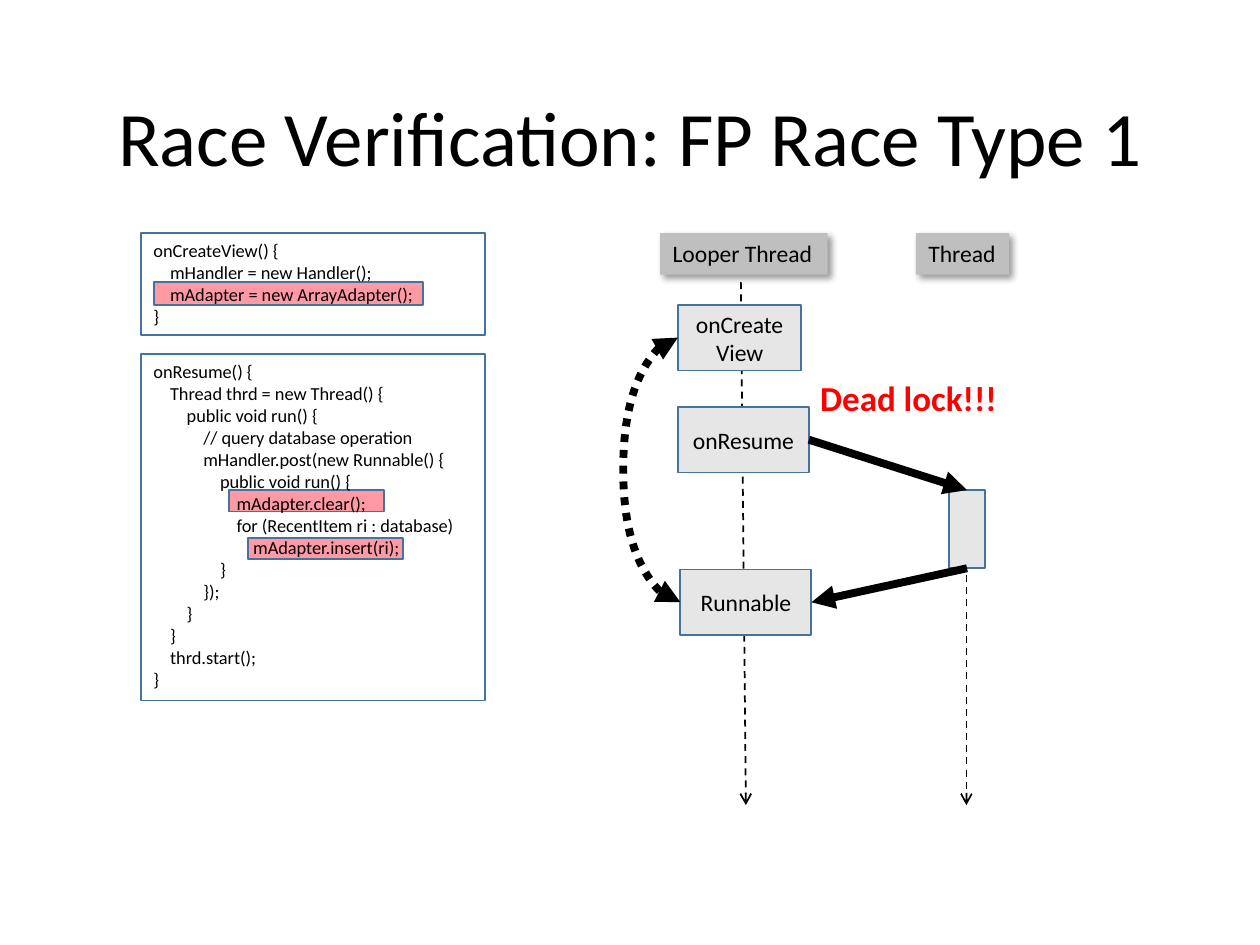
from dataclasses import dataclass

from lxml import etree
from pptx import Presentation
from pptx.dml.color import RGBColor
from pptx.enum.dml import MSO_LINE
from pptx.enum.shapes import MSO_CONNECTOR, MSO_SHAPE
from pptx.enum.text import MSO_ANCHOR, MSO_AUTO_SIZE, PP_ALIGN
from pptx.oxml import parse_xml
from pptx.oxml.ns import nsdecls, qn
from pptx.util import Inches, Pt

RECTANGLE = MSO_SHAPE.RECTANGLE
STRAIGHT, CURVE = MSO_CONNECTOR.STRAIGHT, MSO_CONNECTOR.CURVE
LEFT, CENTER = PP_ALIGN.LEFT, PP_ALIGN.CENTER
TOP, MIDDLE = MSO_ANCHOR.TOP, MSO_ANCHOR.MIDDLE
TOP_SITE, BOTTOM_SITE, LEFT_SITE, RIGHT_SITE = 0, 2, 1, 3


@dataclass
class Theme:
    font: str = "Calibri"
    ink: str = "000000"
    outline: str = "43739E"
    highlight: str = "FF9AA5"
    header: str = "BFBFBF"
    event: str = "E7E6E6"
    alert: str = "FF0000"
    title_size: float = 44
    alert_size: float = 20
    label_size: float = 13.5
    code_size: float = 10.5


theme = Theme()


def add_box(shapes, place, fill=None, outline=1, lines=(), size=theme.label_size,
            align=CENTER, anchor=MIDDLE, color=theme.ink, indent=9.5):
    """Rectangle with one paragraph per (level, words) line."""
    box = shapes.add_shape(RECTANGLE, *map(Inches, place))
    box.shadow.inherit = False
    if fill:
        box.fill.solid()
        box.fill.fore_color.rgb = RGBColor.from_string(fill)
    else:
        box.fill.background()
    if outline:
        box.line.color.rgb = RGBColor.from_string(theme.outline)
        box.line.width = Pt(outline)
    else:
        box.line.fill.background()
    frame = box.text_frame
    frame.word_wrap = True
    frame.vertical_anchor = anchor
    for number, (level, words) in enumerate(lines):
        para = frame.add_paragraph() if number else frame.paragraphs[0]
        para.text = words
        para.alignment = align
        para.font.name, para.font.size = theme.font, Pt(size)
        para.font.color.rgb = RGBColor.from_string(color)
        if level:
            para._p.get_or_add_pPr().set("marL", str(Pt(level * indent)))
    return box


def add_line(kind, start, end, width, dash=None, **heads):
    """Connector with arrowheads given as headEnd or tailEnd."""
    line = page.shapes.add_connector(kind, *map(Inches, start + end))
    line.line.color.rgb = RGBColor.from_string(theme.ink)
    line.line.width = Pt(width)
    if dash:
        line.line.dash_style = dash
    for name in ("headEnd", "tailEnd"):
        if name in heads:
            etree.SubElement(line.line._get_or_add_ln(), qn("a:" + name), type=heads[name])
    etree.SubElement(line._element.spPr, qn("a:effectLst"))
    return line


deck = Presentation()
deck.slide_width, deck.slide_height = Inches(10), Inches(7.5)
page = deck.slides.add_slide(deck.slide_layouts[5])

# Title
title = page.shapes.title
title.left, title.top, title.width, title.height = map(Inches, (0.69, 0.4, 8.63, 1.45))
title.text_frame.text = "Race Verification: FP Race Type 1"
title.text_frame.vertical_anchor = MIDDLE
para = title.text_frame.paragraphs[0]
para.alignment, para.line_spacing = CENTER, 0.9
para.font.name, para.font.size = theme.font, Pt(theme.title_size)
para.font.color.rgb = RGBColor.from_string(theme.ink)

# Highlights behind the racing statements
uses = page.shapes.add_group_shape()
for place in ((1.82, 3.89, 1.23, 0.17), (1.97, 4.27, 1.23, 0.17)):
    add_box(uses.shapes, place, theme.highlight)
add_box(page.shapes, (1.22, 2.24, 2.14, 0.18), theme.highlight)

# Code listings, each line with its nesting level
on_create_view = [
    (0, "onCreateView() {"),
    (1, "mHandler = new Handler();"),
    (1, "mAdapter = new ArrayAdapter();"),
    (0, "}"),
]
on_resume = [
    (0, "onResume() {"),
    (1, "Thread thrd = new Thread() {"),
    (2, "public void run() {"),
    (3, "// query database operation"),
    (3, "mHandler.post(new Runnable() {"),
    (4, "public void run() {"),
    (5, "mAdapter.clear();"),
    (5, "for (RecentItem ri : database)"),
    (6, "mAdapter.insert(ri);"),
    (4, "}"),
    (3, "});"),
    (2, "}"),
    (1, "}"),
    (1, "thrd.start();"),
    (0, "}"),
]
for top, height, code in ((1.85, 0.81, on_create_view), (2.81, 2.75, on_resume)):
    listing = add_box(page.shapes, (1.12, top, 2.73, height), None, 0.75, code,
                      theme.code_size, LEFT, TOP)
    listing.text_frame.auto_size = MSO_AUTO_SIZE.SHAPE_TO_FIT_TEXT

# Lifelines of the two threads
lifeline_end = 6.39
for start, end_x in (((5.88, 2.24), 5.92), ((7.67, 3.89), 7.67)):
    add_line(STRAIGHT, start, (end_x, lifeline_end), 1, MSO_LINE.DASH, tailEnd="arrow")

# Thread headers with a soft shadow
for left, width, name in ((5.24, 1.33, "Looper Thread"), (7.27, 0.74, "Thread")):
    header = add_box(page.shapes, (left, 1.85, width, 0.33), theme.header, 0,
                     [(0, name)], align=LEFT, anchor=TOP)
    header.text_frame.word_wrap = False
    header.text_frame.auto_size = MSO_AUTO_SIZE.SHAPE_TO_FIT_TEXT
    effects = header._element.spPr.find(qn("a:effectLst"))
    effects.append(parse_xml(
        f'<a:outerShdw {nsdecls("a")} blurRad="{Pt(4)}" dist="{Pt(3)}" dir="2700000" '
        f'algn="tl" rotWithShape="0"><a:srgbClr val="{theme.ink}">'
        '<a:alpha val="40000"/></a:srgbClr></a:outerShdw>'))

# Events on the lifelines
events = {}
for name, left, top, width in (("onCreateView", 5.38, 2.42, 0.98),
                               ("onResume", 5.38, 3.23, 1.04),
                               ("Runnable", 5.4, 4.52, 1.04)):
    events[name] = add_box(page.shapes, (left, top, width, 0.52), theme.event, 1, [(0, name)])
worker = add_box(page.shapes, (7.53, 3.89, 0.29, 0.62), theme.event)

# Calls between the threads
start_call = add_line(STRAIGHT, (6.42, 3.49), (7.67, 3.89), 4.5, tailEnd="triangle")
start_call.begin_connect(events["onResume"], RIGHT_SITE)
start_call.end_connect(worker, TOP_SITE)
post_call = add_line(STRAIGHT, (7.67, 4.52), (6.44, 4.78), 4.5, tailEnd="triangle")
post_call.begin_connect(worker, BOTTOM_SITE)
post_call.end_connect(events["Runnable"], RIGHT_SITE)

# Race between onCreateView and Runnable, bulging to the left
race = add_line(CURVE, (5.38, 2.68), (5.4, 4.78), 4.5, MSO_LINE.ROUND_DOT,
                headEnd="triangle", tailEnd="triangle")
race.begin_connect(events["onCreateView"], LEFT_SITE)
race.end_connect(events["Runnable"], LEFT_SITE)
guides = race._element.spPr.find(qn("a:prstGeom")).get_or_add_avLst()
etree.SubElement(guides, qn("a:gd"), name="adj1", fmla="val -2162100")

# Alert
alert = page.shapes.add_textbox(*map(Inches, (6.41, 2.94, 1.62, 0.44)))
alert.text_frame.word_wrap = False
alert.text_frame.auto_size = MSO_AUTO_SIZE.SHAPE_TO_FIT_TEXT
para = alert.text_frame.paragraphs[0]
para.text = "Dead lock!!!"
para.font.name, para.font.size, para.font.bold = theme.font, Pt(theme.alert_size), True
para.font.color.rgb = RGBColor.from_string(theme.alert)

deck.save("out.pptx")
